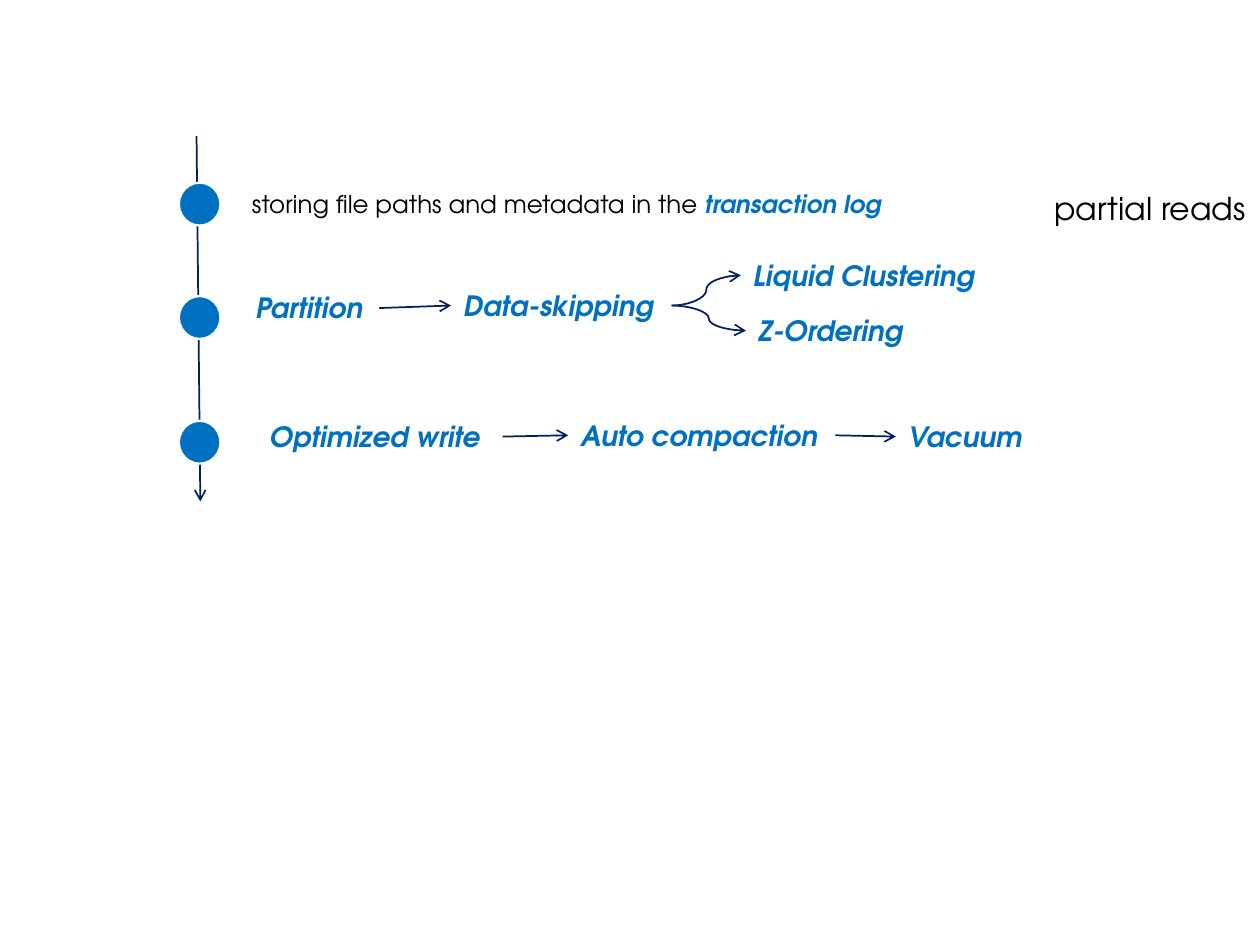
from dataclasses import dataclass

from lxml.etree import SubElement
from pptx import Presentation
from pptx.dml.color import RGBColor
from pptx.enum.shapes import MSO_CONNECTOR, MSO_SHAPE
from pptx.enum.text import MSO_AUTO_SIZE
from pptx.oxml.ns import qn
from pptx.util import Inches, Pt

RIGHT_SIDE, LEFT_SIDE = 3, 1


@dataclass(frozen=True)
class Theme:
    font: str = "TeX Gyre Adventor"
    accent: RGBColor = RGBColor(0x00, 0x70, 0xC0)
    line: RGBColor = RGBColor(0x00, 0x20, 0x60)
    text: RGBColor = RGBColor(0x00, 0x00, 0x00)
    outline: RGBColor = RGBColor(0xFF, 0xFF, 0xFF)
    sentence_size: Pt = Pt(14)
    term_size: Pt = Pt(16)
    aside_size: Pt = Pt(18)
    line_width: Pt = Pt(1)
    outline_width: Pt = Pt(1.25)


THEME = Theme()


def add_text(slide, left, top, width, height, size, runs):
    """Place one line of (words, is_key_term) runs."""
    box = slide.shapes.add_textbox(
        Inches(left), Inches(top), Inches(width), Inches(height))
    frame = box.text_frame
    frame.word_wrap = True
    frame.auto_size = MSO_AUTO_SIZE.SHAPE_TO_FIT_TEXT
    for words, is_key_term in runs:
        run = frame.paragraphs[0].add_run()
        run.text = words
        run.font.name = THEME.font
        run.font.size = size
        run.font.bold = run.font.italic = is_key_term
        run.font.color.rgb = THEME.accent if is_key_term else THEME.text
    return box


def add_term(slide, words, left, top, width):
    return add_text(slide, left, top, width, 0.37, THEME.term_size, [(words, True)])


def add_arrow(slide, start=(0, 0), end=(0, 0), kind=MSO_CONNECTOR.STRAIGHT):
    arrow = slide.shapes.add_connector(kind, *map(Inches, start + end))
    arrow.line.color.rgb = THEME.line
    arrow.line.width = THEME.line_width
    SubElement(arrow.line._get_or_add_ln(), qn("a:tailEnd"), type="arrow")
    SubElement(arrow._element.spPr, qn("a:effectLst"))
    return arrow


def link_terms(slide, source, target, kind=MSO_CONNECTOR.STRAIGHT):
    arrow = add_arrow(slide, kind=kind)
    arrow.begin_connect(source, RIGHT_SIDE)
    arrow.end_connect(target, LEFT_SIDE)


def add_milestone(slide, top):
    dot = slide.shapes.add_shape(
        MSO_SHAPE.OVAL, Inches(1.42), Inches(top), Inches(0.33), Inches(0.34))
    dot.shadow.inherit = False
    dot.fill.solid()
    dot.fill.fore_color.rgb = THEME.accent
    dot.line.color.rgb = THEME.outline
    dot.line.width = THEME.outline_width


def main():
    presentation = Presentation()
    presentation.slide_width = Inches(10)
    presentation.slide_height = Inches(7.5)
    slide = presentation.slides.add_slide(presentation.slide_layouts[6])

    # Timeline
    add_arrow(slide, (1.56, 1.08), (1.59, 3.98))

    # Transaction log and side remark
    add_text(slide, 1.9, 1.45, 5.38, 0.34, THEME.sentence_size,
             [("storing file paths and metadata in the ", False),
              ("transaction log", True)])
    add_text(slide, 8.27, 1.45, 1.91, 0.4, THEME.aside_size,
             [("partial reads", False)])

    # Data layout: partitioning, then skipping in two ways
    partition = add_term(slide, "Partition", 1.93, 2.26, 1.08)
    skipping = add_term(slide, "Data-skipping", 3.58, 2.24, 1.75)
    clustering = add_term(slide, "Liquid Clustering", 5.88, 2, 2.07)
    ordering = add_term(slide, "Z-Ordering", 5.92, 2.44, 1.51)
    link_terms(slide, partition, skipping)
    for technique in (clustering, ordering):
        link_terms(slide, skipping, technique, MSO_CONNECTOR.CURVE)

    # File maintenance
    write = add_term(slide, "Optimized write", 2.04, 3.28, 1.95)
    compaction = add_term(slide, "Auto compaction", 4.51, 3.27, 2.12)
    vacuum = add_term(slide, "Vacuum", 7.11, 3.28, 1.16)
    link_terms(slide, write, compaction)
    link_terms(slide, compaction, vacuum)

    # Milestones over the timeline
    for top in (1.45, 2.35, 3.34):
        add_milestone(slide, top)

    presentation.save("out.pptx")


if __name__ == "__main__":
    main()
